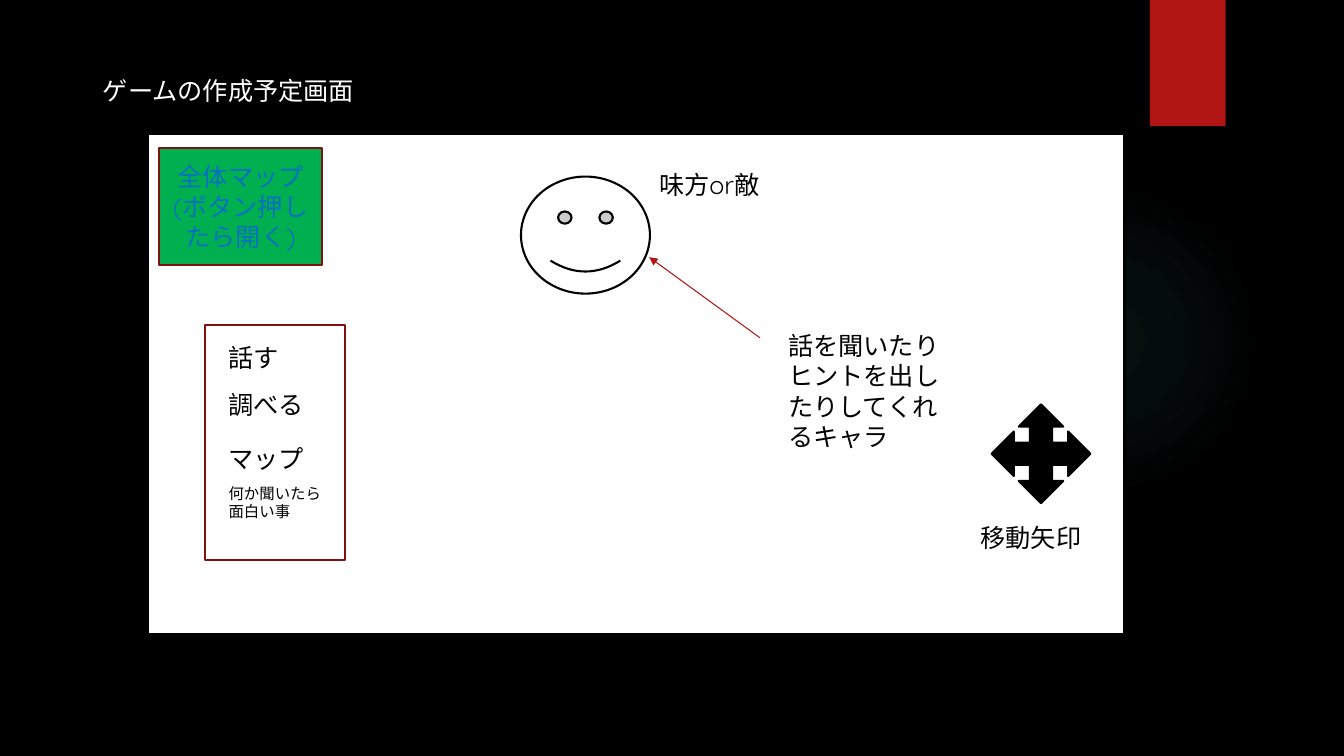
from dataclasses import dataclass

from lxml.etree import SubElement
from pptx import Presentation
from pptx.dml.color import RGBColor
from pptx.enum.shapes import MSO_CONNECTOR, MSO_SHAPE
from pptx.enum.text import MSO_ANCHOR, PP_ALIGN
from pptx.oxml import parse_xml
from pptx.oxml.ns import nsdecls, qn
from pptx.util import Cm, Pt

COLOURS = {
    "background": "000000",
    "screen": "FFFFFF",
    "ink": "000000",
    "accent": "B01513",
    "frame": "82100E",
    "map": "00B050",
    "map_text": "0070C0",
    "glow": "50B9C1",
}
FONT = "Quicksand"
LINE_WIDTH = 1.5


@dataclass
class Figure:
    kind: MSO_SHAPE
    left: float
    top: float
    width: float
    height: float
    fill: str | None = None
    line: str | None = None
    text: tuple[str, ...] = ()
    text_colour: str = "ink"
    align: PP_ALIGN = PP_ALIGN.LEFT
    anchor: MSO_ANCHOR = MSO_ANCHOR.TOP


@dataclass
class Label:
    text: str
    left: float
    top: float
    width: float
    height: float = 1.02
    size: float = 18


def colour(name: str) -> RGBColor:
    return RGBColor.from_string(COLOURS[name])


def place(shape, left: float, top: float, width: float, height: float) -> None:
    box = {"left": left, "top": top, "width": width, "height": height}
    for name, value in box.items():
        setattr(shape, name, Cm(value))


def write(shape, lines: tuple[str, ...], text_colour: str, size: float = 18,
          align: PP_ALIGN = PP_ALIGN.LEFT, anchor: MSO_ANCHOR = MSO_ANCHOR.TOP) -> None:
    frame = shape.text_frame
    frame.word_wrap = True
    frame.vertical_anchor = anchor
    for index, line in enumerate(lines):
        para = frame.add_paragraph() if index else frame.paragraphs[0]
        para.alignment = align
        span = para.add_run()
        span.text = line
        for name, value in {"name": FONT, "size": Pt(size), "bold": False}.items():
            setattr(span.font, name, value)
        span.font.color.rgb = colour(text_colour)


def draw_figure(page, figure: Figure):
    shape = page.shapes.add_shape(
        figure.kind, Cm(figure.left), Cm(figure.top), Cm(figure.width), Cm(figure.height))
    shape.shadow.inherit = False
    if figure.fill:
        shape.fill.solid()
        shape.fill.fore_color.rgb = colour(figure.fill)
    else:
        shape.fill.background()
    if figure.line:
        shape.line.color.rgb = colour(figure.line)
        shape.line.width = Pt(LINE_WIDTH)
    else:
        shape.line.fill.background()
    if figure.text:
        write(shape, figure.text, figure.text_colour,
              align=figure.align, anchor=figure.anchor)
    return shape


def draw_label(page, label: Label) -> None:
    box = page.shapes.add_textbox(
        Cm(label.left), Cm(label.top), Cm(label.width), Cm(label.height))
    write(box, (label.text,), "ink", label.size)


def add_glow(shape) -> None:
    """Fill the shape with a faint radial gradient."""
    stops = "".join(
        f'<a:gs pos="{position * 1000}"><a:srgbClr val="{COLOURS["glow"]}">'
        f'<a:alpha val="{alpha * 1000}"/></a:srgbClr></a:gs>'
        for position, alpha in ((0, 7), (36, 6), (69, 0), (100, 0)))
    gradient = parse_xml(
        f'<a:gradFill {nsdecls("a")} rotWithShape="1"><a:gsLst>{stops}</a:gsLst>'
        '<a:path path="circle"><a:fillToRect l="50000" t="50000" r="50000" b="50000"/>'
        '</a:path></a:gradFill>')
    properties = shape._element.spPr
    properties.replace(properties.find(qn("a:noFill")), gradient)


def draw_arrow(page, start: tuple[float, float], end: tuple[float, float]) -> None:
    arrow = page.shapes.add_connector(
        MSO_CONNECTOR.STRAIGHT, *(Cm(value) for value in start + end))
    arrow.line.color.rgb = colour("accent")
    arrow.line.width = Pt(0.75)
    SubElement(arrow.line._get_or_add_ln(), qn("a:tailEnd"), type="triangle")
    SubElement(arrow._element.spPr, qn("a:effectLst"))


GLOW = Figure(MSO_SHAPE.OVAL, 23.9, 4.65, 7.82, 7.82)
FIGURES = [
    # Ribbon and game screen
    Figure(MSO_SHAPE.RECTANGLE, 28.98, 0, 1.91, 3.18, "accent"),
    Figure(MSO_SHAPE.RECTANGLE, 3.73, 3.38, 24.61, 12.6, "screen", "ink"),
    # Command menu and map button
    Figure(MSO_SHAPE.RECTANGLE, 5.16, 8.2, 3.53, 5.92, None, "frame"),
    Figure(MSO_SHAPE.RECTANGLE, 4.01, 3.73, 4.11, 2.95, "map", "frame",
           ("全体マップ", "(ボタン押したら開く)"), "map_text",
           PP_ALIGN.CENTER, MSO_ANCHOR.MIDDLE),
    # Character, movement arrows and explanation
    Figure(MSO_SHAPE.SMILEY_FACE, 13.13, 4.45, 3.25, 2.95, "screen", "ink"),
    Figure(MSO_SHAPE.QUAD_ARROW, 24.99, 10.19, 2.49, 2.49, "ink", "ink"),
    Figure(MSO_SHAPE.RECTANGLE, 19.61, 8.2, 4.65, 3.33, "screen", None,
           ("話を聞いたり", "ヒントを出したりしてくれるキャラ")),
]
LABELS = [
    Label("話す", 5.51, 8.51, 2.62),
    Label("調べる", 5.51, 9.68, 2.62),
    Label("マップ", 5.51, 11.05, 2.62),
    Label("何か聞いたら面白い事", 5.51, 12.07, 3.18, 1.19, 11),
    Label("移動矢印", 24.46, 13.03, 3.25),
    Label("味方or敵", 16.36, 4.14, 4.45),
]


def main() -> None:
    deck = Presentation()
    deck.slide_width, deck.slide_height = Cm(33.87), Cm(19.05)
    page = deck.slides.add_slide(deck.slide_layouts[5])
    page.background.fill.solid()
    page.background.fill.fore_color.rgb = colour("background")

    # Title
    title = page.shapes.title
    place(title, 2.34, 1.78, 9.83, 1.02)
    write(title, ("ゲームの作成予定画面",), "screen")

    # Game screen mock-up
    add_glow(draw_figure(page, GLOW))
    for figure in FIGURES:
        draw_figure(page, figure)
    for label in LABELS:
        draw_label(page, label)
    draw_arrow(page, (19.15, 8.51), (16.36, 6.48))

    deck.save("out.pptx")


if __name__ == "__main__":
    main()
